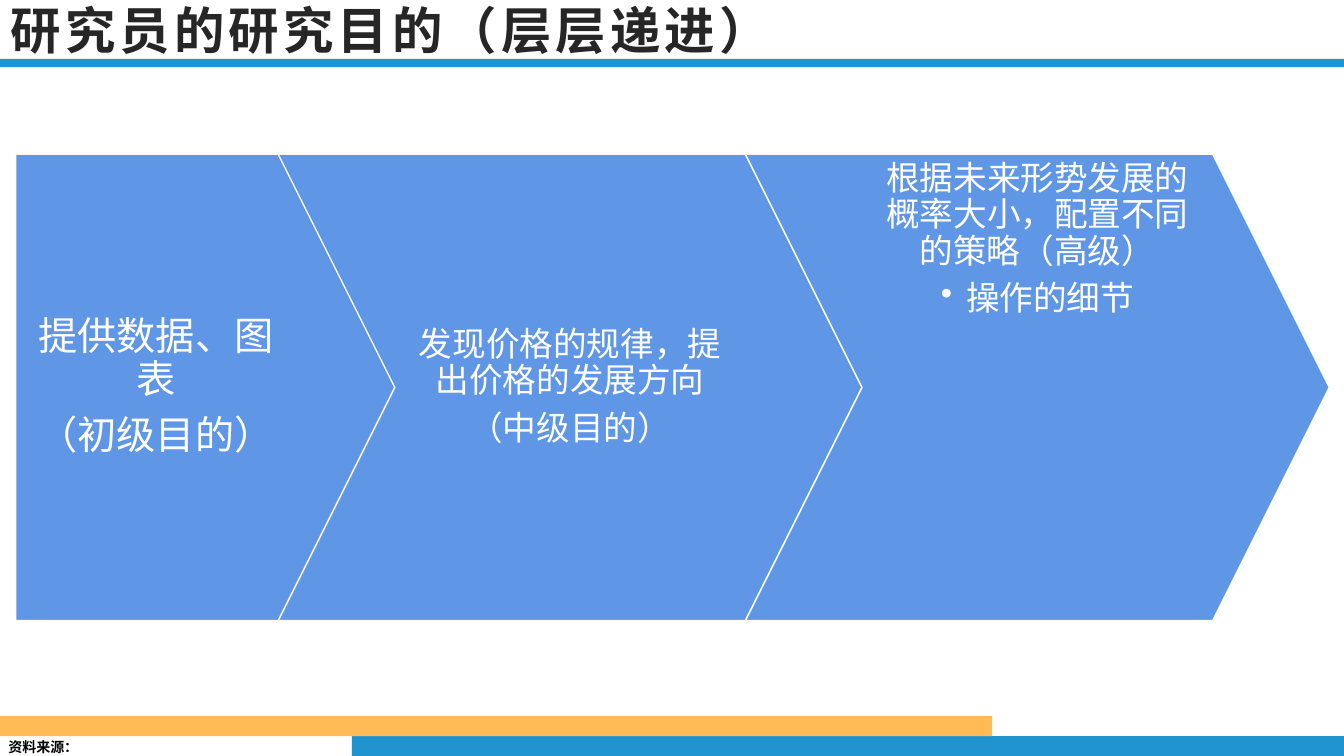
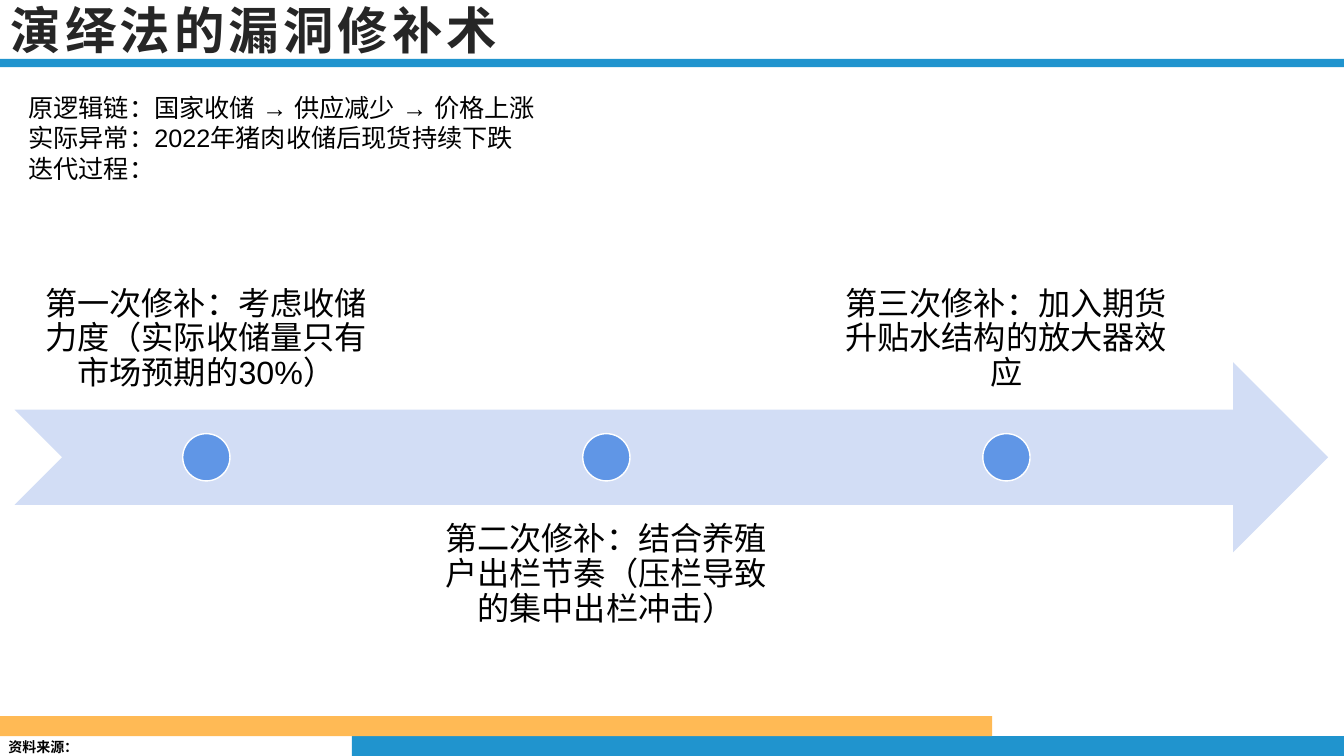
from lxml.etree import SubElement
from pptx import Presentation
from pptx.dml.color import RGBColor
from pptx.enum.shapes import MSO_SHAPE as Kind
from pptx.enum.text import MSO_ANCHOR as Anchor, MSO_AUTO_SIZE as Fit, PP_ALIGN as Align
from pptx.oxml.ns import qn
from pptx.util import Emu, Pt

SCALE = 9525  # EMU per px
WIDE, HIGH = 1280, 720
BLUE = RGBColor(0x20, 0x94, 0xCE)
AMBER = RGBColor(0xFF, 0xBA, 0x55)
STEEL = RGBColor(0x60, 0x96, 0xE6)
PALE = RGBColor(0xD2, 0xDD, 0xF5)
INK = RGBColor(0x26, 0x26, 0x26)
BLACK = RGBColor(0, 0, 0)
WHITE = RGBColor(0xFF, 0xFF, 0xFF)
BODY, HEAD = "Arial", "Noto Sans CJK SC"


def px(*nums):
    return [Emu(n * SCALE) for n in nums]


def write(frame, lines, size=18, color=BLACK, font=BODY, bold=False, track=0,
          align=Align.LEFT, anchor=Anchor.TOP, pad=(10, 5, 10, 5),
          lead=None, after=None, bullets=()):
    """Fill a text frame: one paragraph per line, then the bulleted ones."""
    frame.word_wrap = True
    frame.auto_size = Fit.NONE
    frame.vertical_anchor = anchor
    (frame.margin_left, frame.margin_top,
     frame.margin_right, frame.margin_bottom) = px(*pad)
    for i, line in enumerate([*lines, *bullets]):
        para = frame.add_paragraph() if i else frame.paragraphs[0]
        if i >= len(lines):
            props = para._p.get_or_add_pPr()
            props.set("lvl", "1")
            props.set("marL", str(24 * SCALE))
            props.set("indent", str(-24 * SCALE))
            SubElement(props, qn("a:buChar")).set("char", "•")
        para.alignment = align
        para.line_spacing = lead
        para.space_after = after
        run = para.add_run()
        run.text = line
        run.font.size, run.font.bold, run.font.name = Pt(size), bold, font
        run.font.color.rgb = color
        props = run._r.get_or_add_rPr()
        SubElement(props, qn("a:ea")).set("typeface", font)
        if track:
            props.set("spc", str(track * 100))


def label(slide, box, lines, **style):
    area = slide.shapes.add_textbox(*px(*box))
    write(area.text_frame, lines, **style)
    return area


def block(slide, kind, box, fill, edge=None):
    shape = slide.shapes.add_shape(kind, *px(*box))
    shape.shadow.inherit = False
    shape.fill.solid()
    shape.fill.fore_color.rgb = fill
    if edge is None:
        shape.line.fill.background()
    else:
        shape.line.color.rgb = edge
        shape.line.width = Pt(1)
    return shape


def brand(layout, slide):
    """Give the layout its bands and source note, drafted on a slide."""
    for spare in list(layout.placeholders)[1:]:
        spare.element.getparent().remove(spare.element)
    bands = [((335, 701, 945, 19), BLUE), ((0, 682, 945, 19), AMBER),
             ((0, 56, WIDE, 8), BLUE)]
    parts = [block(slide, Kind.RECTANGLE, box, fill) for box, fill in bands]
    parts.append(label(slide, (-2, 698, 90, 26), ["资料来源："],
                       size=10, font=HEAD, bold=True))
    for part in parts:
        layout.shapes.element.append(part.element)


def entitle(slide, text):
    title = slide.shapes.title
    title.left, title.top, title.width, title.height = px(0, 0, 1098, 56)
    write(title.text_frame, [text], size=36, color=INK, font=HEAD,
          bold=True, track=3, anchor=Anchor.MIDDLE)


def stages(slide, box, steps):
    """Draw interlocking arrows; each step is kind, width, pad, text format."""
    x, y, high = box
    tip = high // 4
    for kind, wide, pad, style in steps:
        arrow = block(slide, kind, (x, y, wide, high), STEEL, WHITE)
        arrow.adjustments[0] = 0.25
        write(arrow.text_frame, color=WHITE, align=Align.CENTER, pad=pad,
              lead=0.9, **style)
        x += wide - tip


def timeline(slide, box, notes):
    """Draw an arrow with evenly spaced dots, notes above and below in turn."""
    x, y, wide, high = box
    block(slide, Kind.NOTCHED_RIGHT_ARROW, box, PALE)
    span, pitch, dot, shift = 363, 381, 45, 136
    for i, note in enumerate(notes):
        left = x + 1 + i * pitch
        below = i % 2
        top = y + shift if below else y - shift
        label(slide, (left, top, span, high), [note], size=23,
              align=Align.CENTER, anchor=Anchor.TOP if below else Anchor.BOTTOM,
              pad=(17, 17, 17, 17), lead=0.9, after=Pt(8))
        block(slide, Kind.OVAL, (left + (span - dot) // 2,
                                 y + (high - dot) // 2, dot, dot), STEEL, WHITE)


def goals(slide):
    entitle(slide, "研究员的研究目的（层层递进）")
    mid = Anchor.MIDDLE
    pad = (19, 7, 19, 7)
    stages(slide, (15, 147, 444), [
        (Kind.PENTAGON, 361, (19, 8, 68, 8),
         dict(lines=["提供数据、图表", "（初级目的）"], size=28, anchor=mid,
              after=Pt(10))),
        (Kind.CHEVRON, 556, pad,
         dict(lines=["发现价格的规律，提出价格的发展方向", "（中级目的）"],
              size=24, anchor=mid, after=Pt(8))),
        (Kind.CHEVRON, 556, pad,
         dict(lines=["根据未来形势发展的概率大小，配置不同的策略（高级）"],
              bullets=["操作的细节"], size=24, after=Pt(8))),
    ])


def repairs(slide):
    entitle(slide, "演绎法的漏洞修补术")
    timeline(slide, (14, 345, 1251, 181), [
        "第一次修补：考虑收储力度（实际收储量只有市场预期的30%）",
        "第二次修补：结合养殖户出栏节奏（压栏导致的集中出栏冲击）",
        "第三次修补：加入期货升贴水结构的放大器效应",
    ])
    label(slide, (17, 83, 1157, 97), [
        "原逻辑链：国家收储 → 供应减少 → 价格上涨",
        "实际异常：2022年猪肉收储后现货持续下跌",
        "迭代过程：",
    ])


def main():
    deck = Presentation()
    deck.slide_width, deck.slide_height = px(WIDE, HIGH)
    layout = deck.slide_layouts[5]
    first, second = [deck.slides.add_slide(layout) for _ in range(2)]
    brand(layout, first)
    goals(first)
    repairs(second)
    deck.save("out.pptx")


if __name__ == "__main__":
    main()
